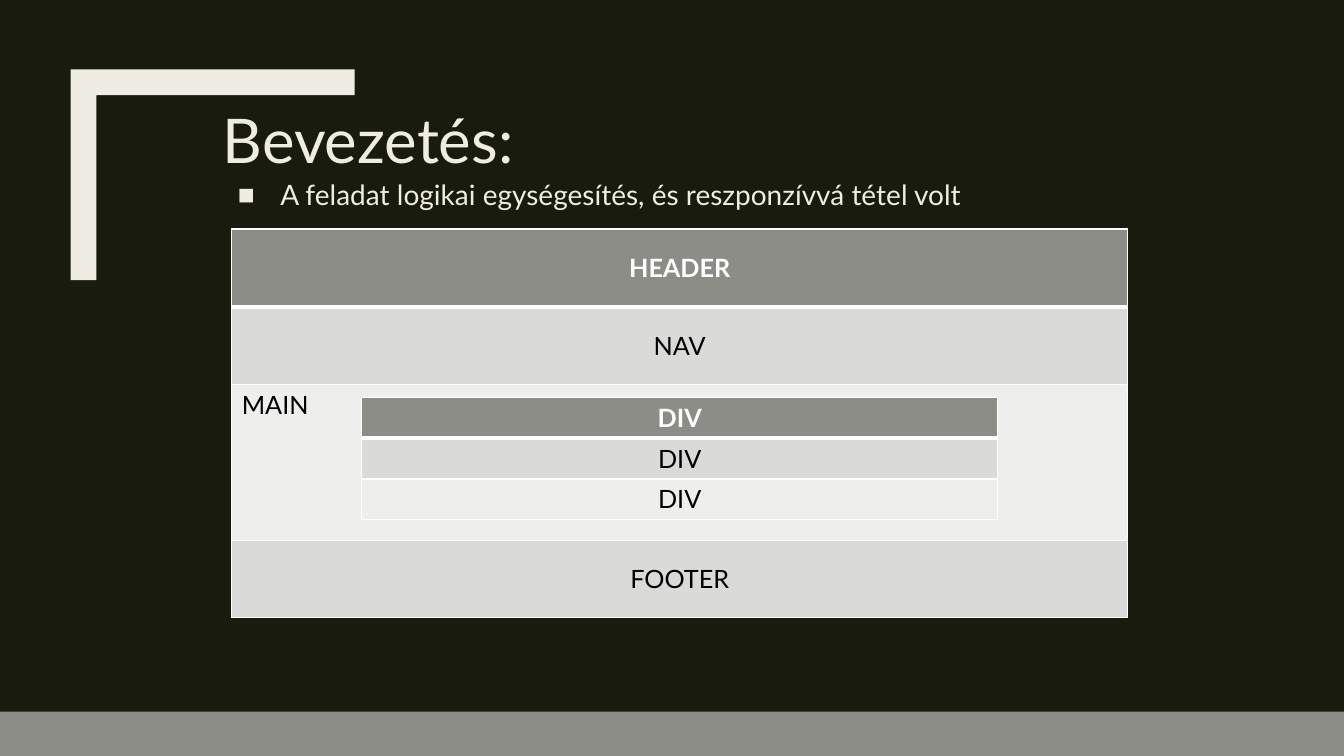
from dataclasses import dataclass

from lxml import etree
from pptx import Presentation
from pptx.dml.color import RGBColor
from pptx.enum.shapes import MSO_SHAPE
from pptx.enum.text import MSO_ANCHOR, PP_ALIGN
from pptx.oxml.ns import qn
from pptx.util import Cm, Pt

RECTANGLE = MSO_SHAPE.RECTANGLE
TOP, MIDDLE = MSO_ANCHOR.TOP, MSO_ANCHOR.MIDDLE
LEFT, CENTER = PP_ALIGN.LEFT, PP_ALIGN.CENTER
TITLE_AND_CONTENT = 1


@dataclass(frozen=True)
class Theme:
    """Colours, font and type sizes of the slide."""
    background: str = "191B0E"
    cream: str = "EFEDE3"
    gray: str = "8C8D86"
    band_dark: str = "DADBD9"
    band_light: str = "EEEEED"
    white: str = "FFFFFF"
    black: str = "000000"
    font: str = "Lato"
    title_size: int = 44
    body_size: int = 20
    table_size: int = 18
    thin_border: int = 1
    thick_border: int = 3


THEME = Theme()


def paint(fill, color):
    """Give a fill one solid colour."""
    fill.solid()
    fill.fore_color.rgb = RGBColor.from_string(color)


def finish_shape(shape, color):
    """Leave a shape with a plain fill, no line and no shadow."""
    paint(shape.fill, color)
    shape.line.fill.background()
    shape.shadow.inherit = False


def format_runs(paragraph, size, color, bold=False):
    """Set the font of every run in a paragraph."""
    for run in paragraph.runs:
        run.font.name = THEME.font
        run.font.size = Pt(size)
        run.font.bold = bold
        run.font.color.rgb = RGBColor.from_string(color)


def fill_placeholder(placeholder, box, text, size, line_spacing):
    """Move a placeholder into a box, write its text and return the paragraph."""
    (placeholder.left, placeholder.top,
     placeholder.width, placeholder.height) = map(Cm, box)
    text_frame = placeholder.text_frame
    text_frame.text = text
    text_frame.vertical_anchor = TOP
    paragraph = text_frame.paragraphs[0]
    paragraph.alignment = LEFT
    paragraph.line_spacing = line_spacing
    format_runs(paragraph, size, THEME.cream)
    return paragraph


def add_title(slide, box):
    """Write the slide title."""
    fill_placeholder(slide.shapes.title, box, "Bevezetés:", THEME.title_size, 0.89)


def add_task_list(slide, box):
    """Write the bulleted task sentence."""
    paragraph = fill_placeholder(
        slide.placeholders[1], box,
        "A feladat logikai egységesítés, és reszponzívvá tétel volt",
        THEME.body_size, 0.94)
    paragraph.space_before, paragraph.space_after = Pt(10), Pt(2)
    properties = paragraph._p.get_or_add_pPr()
    indent = Cm(1.07)
    properties.set("marL", str(indent))
    properties.set("indent", str(-indent))
    etree.SubElement(properties, qn("a:buChar"), char="■")


def add_corner(slide, box):
    """Draw the angled bracket along the top and left edges of a box."""
    left, top, width, height = box
    thickness = 0.65
    right, bottom = left + width, top + height
    points = [(right, top), (right, top + thickness),
              (left + thickness, top + thickness),
              (left + thickness, bottom), (left, bottom)]
    builder = slide.shapes.build_freeform(Cm(left), Cm(top))
    builder.add_line_segments([(Cm(x), Cm(y)) for x, y in points])
    finish_shape(builder.convert_to_shape(), THEME.cream)


def add_bottom_bar(slide, box):
    """Draw the bar along the bottom edge."""
    finish_shape(slide.shapes.add_shape(RECTANGLE, *map(Cm, box)), THEME.gray)


def add_borders(cell, top, bottom):
    """Draw white cell borders with the given top and bottom widths."""
    properties = cell._tc.get_or_add_tcPr()
    widths = {"L": THEME.thin_border, "R": THEME.thin_border,
              "T": top, "B": bottom}
    for side, width in widths.items():
        line = etree.SubElement(properties, qn(f"a:ln{side}"), w=str(Pt(width)))
        solid = etree.SubElement(line, qn("a:solidFill"))
        etree.SubElement(solid, qn("a:srgbClr"), val=THEME.white)


def add_block_table(slide, box, rows):
    """Stack (label, height share, alignment, anchor) rows in a box."""
    height = box[3]
    table = slide.shapes.add_table(len(rows), 1, *map(Cm, box)).table
    table.first_row = table.horz_banding = False
    total_share = sum(share for _, share, _, _ in rows)
    bands = (THEME.band_light, THEME.band_dark)
    for index, (label, share, alignment, anchor) in enumerate(rows):
        is_head = index == 0
        table.rows[index].height = Cm(height * share / total_share)
        cell = table.cell(index, 0)
        add_borders(cell,
                    THEME.thick_border if index == 1 else THEME.thin_border,
                    THEME.thick_border if is_head else THEME.thin_border)
        paint(cell.fill, THEME.gray if is_head else bands[index % 2])
        cell.vertical_anchor = anchor
        cell.text_frame.text = label
        paragraph = cell.text_frame.paragraphs[0]
        paragraph.alignment = alignment
        format_runs(paragraph, THEME.table_size,
                    THEME.white if is_head else THEME.black, is_head)


def add_page_layout(slide, box):
    """Show the page regions, with the div blocks nested in MAIN."""
    left, top, width, _ = box
    add_block_table(slide, box, [
        ("HEADER", 1, CENTER, MIDDLE), ("NAV", 1, CENTER, MIDDLE),
        ("MAIN", 2, LEFT, TOP), ("FOOTER", 1, CENTER, MIDDLE)])
    inner_width = 16.03
    inner_box = (left + (width - inner_width) / 2, top + 4.24, inner_width, 3.09)
    add_block_table(slide, inner_box, [("DIV", 1, CENTER, TOP)] * 3)


def build_slide(presentation, box):
    """Build the introduction slide inside the whole-slide box."""
    left, top, width, height = box
    slide = presentation.slides.add_slide(
        presentation.slide_layouts[TITLE_AND_CONTENT])
    paint(slide.background.fill, THEME.background)
    add_corner(slide, (left + 1.78, top + 1.75, 7.16, 5.31))
    add_title(slide, (left + 5.36, top + 2.67, 9.88, 2.03))
    add_task_list(slide, (left + 5.74, top + 4.42, 22.78, 1.35))
    bar_height = 1.12
    add_bottom_bar(slide, (left, top + height - bar_height, width, bar_height))
    add_page_layout(slide, (left + 5.84, top + 5.77, 22.58, 9.8))


def main():
    """Create and save the presentation."""
    width, height = 33.87, 19.05
    presentation = Presentation()
    presentation.slide_width, presentation.slide_height = Cm(width), Cm(height)
    build_slide(presentation, (0, 0, width, height))
    presentation.save("out.pptx")


main()
